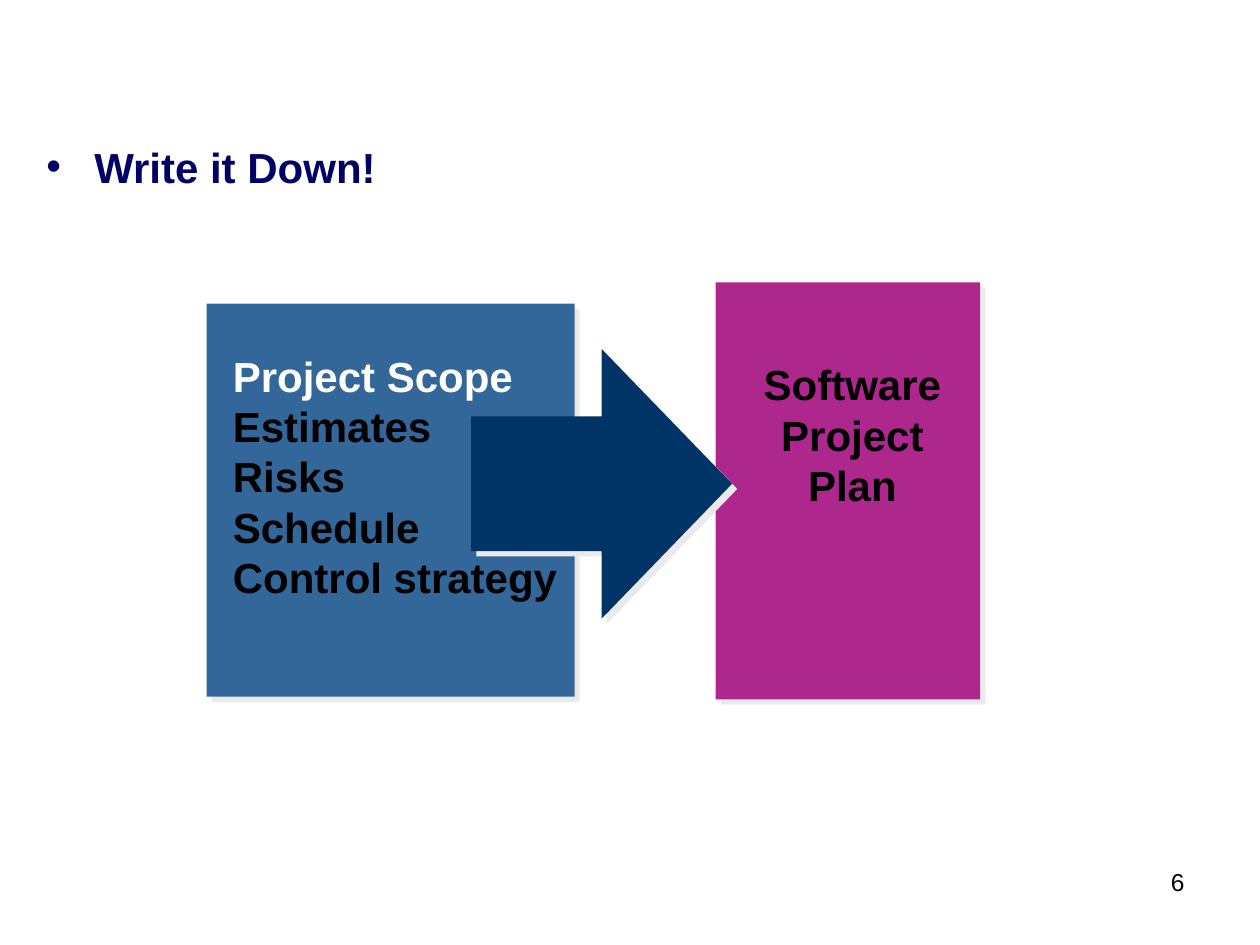
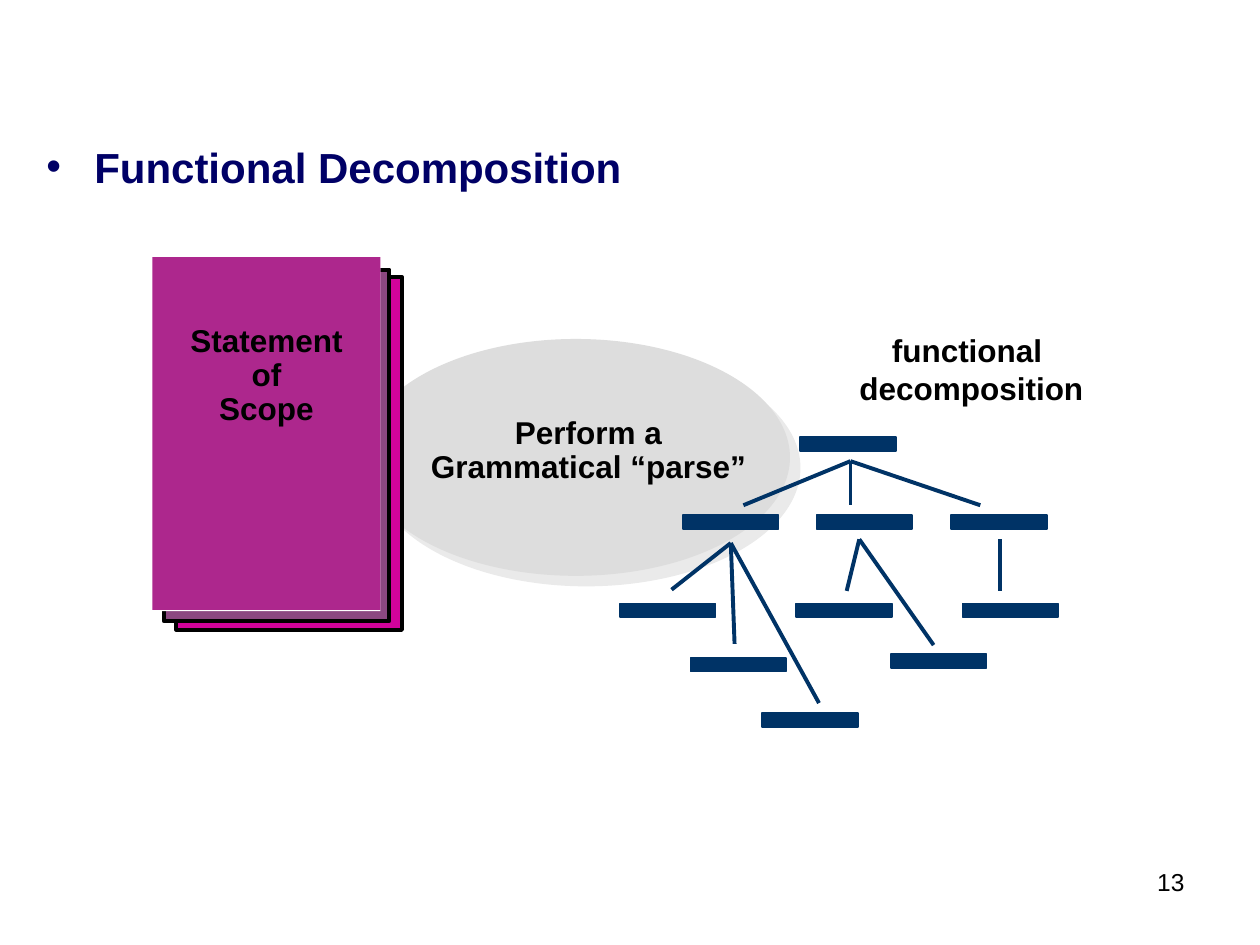
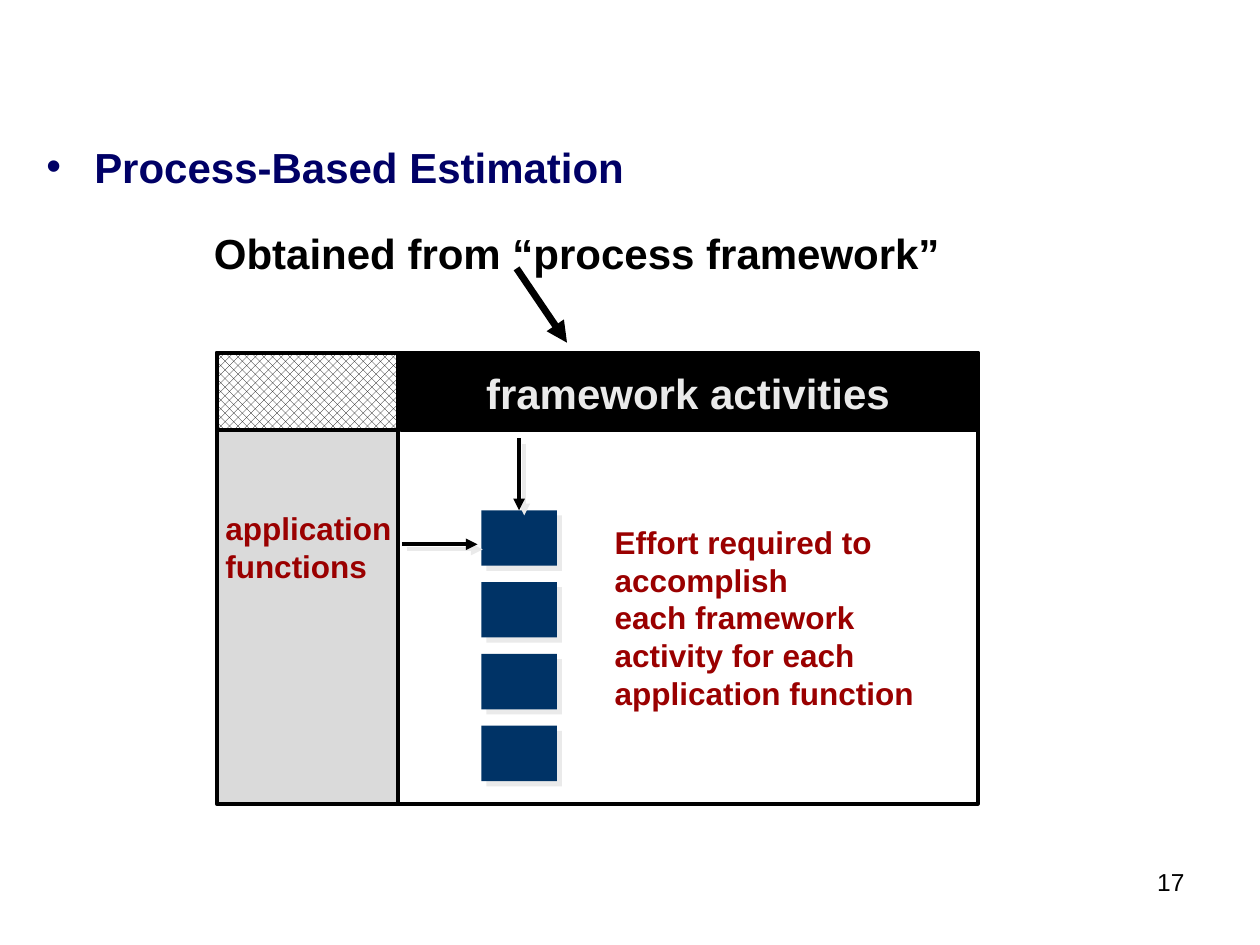
from lxml import etree
from pptx import Presentation
from pptx.dml.color import RGBColor
from pptx.enum import dml, shapes, text
from pptx.oxml.ns import qn
from pptx.util import Pt

PX = 9144
FONT = "Arial"
COLORS = {
    "black": "000000", "white": "FFFFFF", "title": "000066", "navy": "003366",
    "blue": "336699", "purple": "AD278D", "plum": "8C4881", "magenta": "D1039B",
    "oval": "DDDDDD", "side": "DADADA", "pale": "EAEAEA", "red": "9A0000",
}
RECT = shapes.MSO_SHAPE.RECTANGLE
CENTER, RIGHT = text.PP_ALIGN.CENTER, text.PP_ALIGN.RIGHT


def px(*lengths):
    """Turn px lengths into EMU."""
    return [length * PX for length in lengths]


def rgb(name):
    """Look up a palette colour."""
    return RGBColor.from_string(COLORS[name])


def assign(target, values):
    """Set each named attribute of the target."""
    for name, value in values.items():
        setattr(target, name, value)


class Deck:
    """Holds the shared style and the current slide."""

    def __init__(self):
        """Start a deck of 1000 by 750 px."""
        self.prs = Presentation()
        self.prs.slide_width, self.prs.slide_height = px(1000, 750)

    def start(self, title, number):
        """Add a slide with its number and bulleted title."""
        self.slide = self.prs.slides.add_slide(self.prs.slide_layouts[6])
        self.label((744, 683, 206, 52), [number], 14, bold=False, wrap=True, alignment=RIGHT)
        self.label((27, 107, 900, 95), [title], 24, "title", wrap=True, bullet="•")

    def label(self, box, lines, size, color="black", bold=True, wrap=False,
              bullet=None, **paragraph_format):
        """Add a text box with one paragraph per line and return its frame."""
        frame = self.slide.shapes.add_textbox(*px(*box)).text_frame
        assign(frame, {"word_wrap": wrap, "auto_size": text.MSO_AUTO_SIZE.NONE})
        frame.text = "\n".join(lines)
        for paragraph in frame.paragraphs:
            if bullet:
                props = paragraph._p.get_or_add_pPr()
                indent, = px(38)
                props.set("marL", str(indent))
                props.set("indent", str(-indent))
                etree.SubElement(props, qn("a:buFont"), typeface=FONT)
                etree.SubElement(props, qn("a:buChar"), char=bullet)
            assign(paragraph, paragraph_format)
            assign(paragraph.font, {"name": FONT, "size": Pt(size), "bold": bold})
            paragraph.font.color.rgb = rgb(color)
        return frame

    def effects(self, shape, distance):
        """Give a shape a hard pale shadow, or none at distance zero."""
        effects = etree.SubElement(shape.element.spPr, qn("a:effectLst"))
        if distance:
            shadow = etree.SubElement(
                effects, qn("a:outerShdw"), blurRad="0", dist=str(int(Pt(distance))),
                dir="2700000", algn="ctr", rotWithShape="0")
            etree.SubElement(shadow, qn("a:srgbClr"), val=COLORS["pale"])

    def block(self, box, fill=None, line=None, width=2.25, shadow=0, kind=RECT):
        """Add a preset shape and return it."""
        shape = self.slide.shapes.add_shape(kind, *px(*box))
        if fill:
            shape.fill.solid()
            shape.fill.fore_color.rgb = rgb(fill)
        else:
            shape.fill.background()
        if line:
            shape.line.color.rgb = rgb(line)
            shape.line.width = Pt(width)
        else:
            shape.line.fill.background()
        self.effects(shape, shadow)
        return shape

    def link(self, start, end, color="black", width=2.25, arrow=True, shadow=0):
        """Add a straight line, with an arrowhead at its end if wanted."""
        line = self.slide.shapes.add_connector(
            shapes.MSO_CONNECTOR.STRAIGHT, *px(*start, *end))
        line.line.color.rgb = rgb(color)
        line.line.width = Pt(width)
        if arrow:
            etree.SubElement(line.element.spPr.find(qn("a:ln")), qn("a:tailEnd"),
                             type="triangle")
        self.effects(line, shadow)


def plan_inputs(deck):
    """Build the slide that turns project inputs into a plan."""
    deck.start("Write it Down!", "6")
    deck.block((568, 224, 210, 331), "purple", shadow=4.2)
    deck.label((596, 280, 161, 130), ["Software", "Project", "Plan"], 24, alignment=CENTER)
    deck.block((164, 241, 292, 312), "blue", shadow=4.2)
    inputs = deck.label(
        (175, 273, 277, 209),
        ["Project Scope", "Estimates", "Risks", "Schedule", "Control strategy"], 24)
    inputs.paragraphs[0].font.color.rgb = rgb("white")
    deck.block((374, 277, 207, 214), "navy", shadow=4.2, kind=shapes.MSO_SHAPE.RIGHT_ARROW)


def functional_decomposition(deck):
    """Build the slide that parses a scope statement into a tree."""
    deck.start("Functional Decomposition", "13")
    deck.block((287, 269, 340, 188), "oval", shadow=8.5, kind=shapes.MSO_SHAPE.OVAL)
    for sheet, fill, edge in [
        ((140, 220, 179, 280), "magenta", "black"),
        ((130, 214, 179, 279), "plum", "black"),
        ((121, 204, 181, 281), "white", None),
        ((121, 204, 181, 280), "purple", None),
    ]:
        deck.block(sheet, fill, edge)
    for left, top in [(635, 347), (542, 409), (648, 409), (755, 409), (492, 479),
                      (548, 522), (605, 566), (632, 479), (707, 519), (764, 479)]:
        deck.block((left, top, 76, 11), "navy", "navy", 1)
    branches = {
        (675, 366): [(590, 401), (675, 401), (778, 401)],
        (580, 431): [(533, 468), (583, 511), (650, 558)],
        (682, 428): [(672, 469), (741, 512)],
        (794, 428): [(794, 469)],
    }
    for parent, children in branches.items():
        for child in children:
            deck.link(parent, child, "navy", arrow=False)
    deck.label((672, 258, 198, 70), ["functional ", "decomposition"], 18, alignment=CENTER)
    deck.label((141, 253, 141, 91), ["Statement", "of", "Scope"], 18,
               alignment=CENTER, line_spacing=0.9)
    deck.label((329, 326, 276, 64), ["Perform a Grammatical “parse”"], 18, wrap=True,
               alignment=CENTER, line_spacing=0.9)


def process_based_estimation(deck):
    """Build the slide that maps functions to framework activities."""
    deck.start("Process-Based Estimation", "17")
    deck.label((160, 180, 596, 46), ["Obtained from “process framework”"], 24,
               line_spacing=0.9)
    deck.block((175, 280, 601, 358), line="black")
    deck.block((172, 280, 144, 358), "side", "black")
    deck.block((318, 280, 458, 61), "black", "black")
    corner = deck.block((172, 280, 144, 61), "white", "black")
    corner.fill.patterned()
    corner.fill.pattern = dml.MSO_PATTERN.PERCENT_50
    corner.fill.fore_color.rgb = rgb("black")
    corner.fill.back_color.rgb = rgb("white")
    deck.label((169, 399, 152, 70), ["application", "functions"], 18, "red")
    deck.label((376, 287, 340, 50), ["framework activities"], 24, "pale")
    deck.link((410, 213), (450, 272), width=4)
    deck.label((478, 410, 268, 160),
               ["Effort required to accomplish",
                "each framework activity for each application function"],
               18, "red", wrap=True)
    for row in range(4):
        deck.block((382, 405 + 57 * row, 60, 44), "navy", shadow=4.2)
    deck.link((412, 348), (412, 405), shadow=4.2)
    deck.link((319, 432), (379, 432), shadow=4.2)


def main():
    """Build and save the deck."""
    deck = Deck()
    plan_inputs(deck)
    functional_decomposition(deck)
    process_based_estimation(deck)
    deck.prs.save("out.pptx")


if __name__ == "__main__":
    main()
